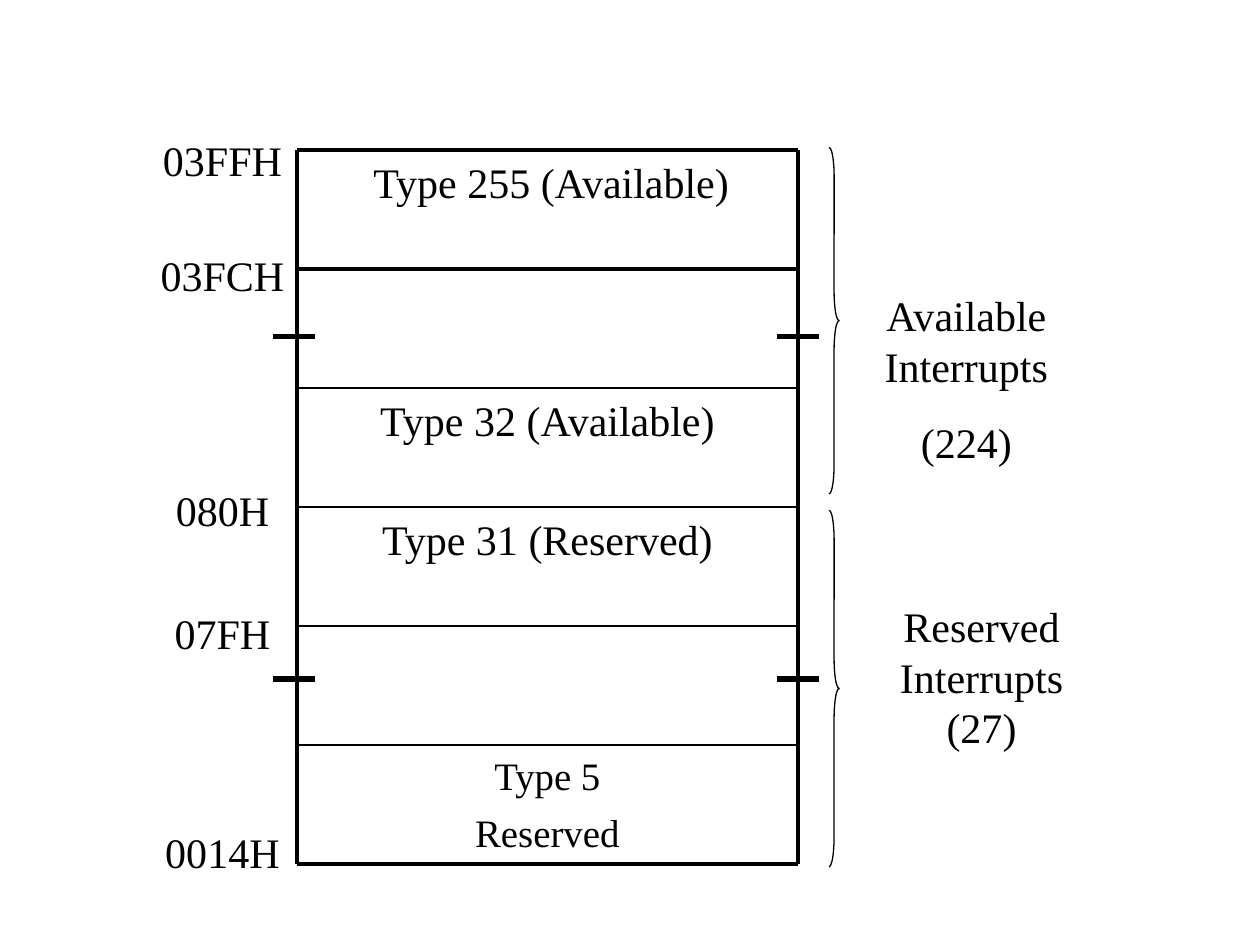
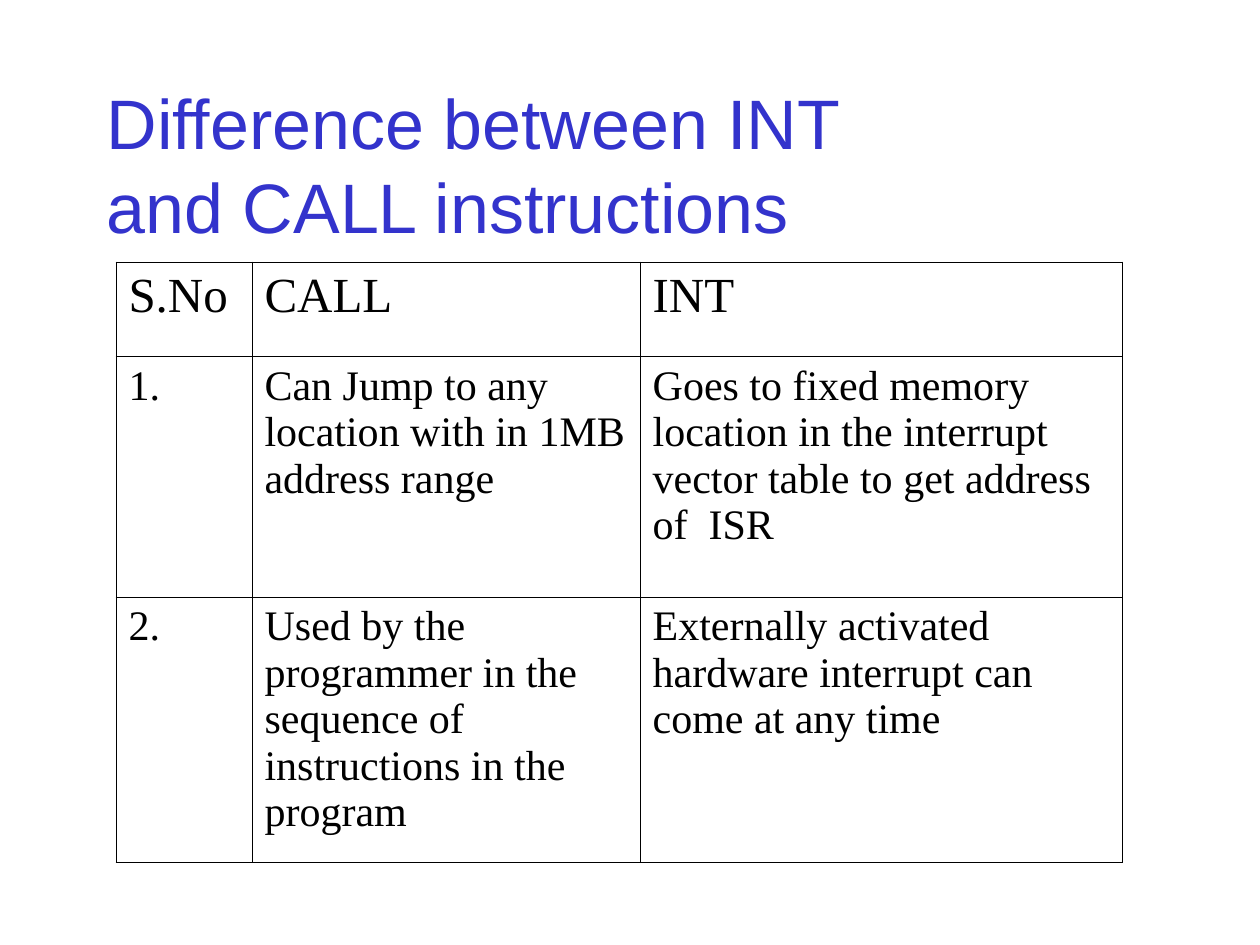
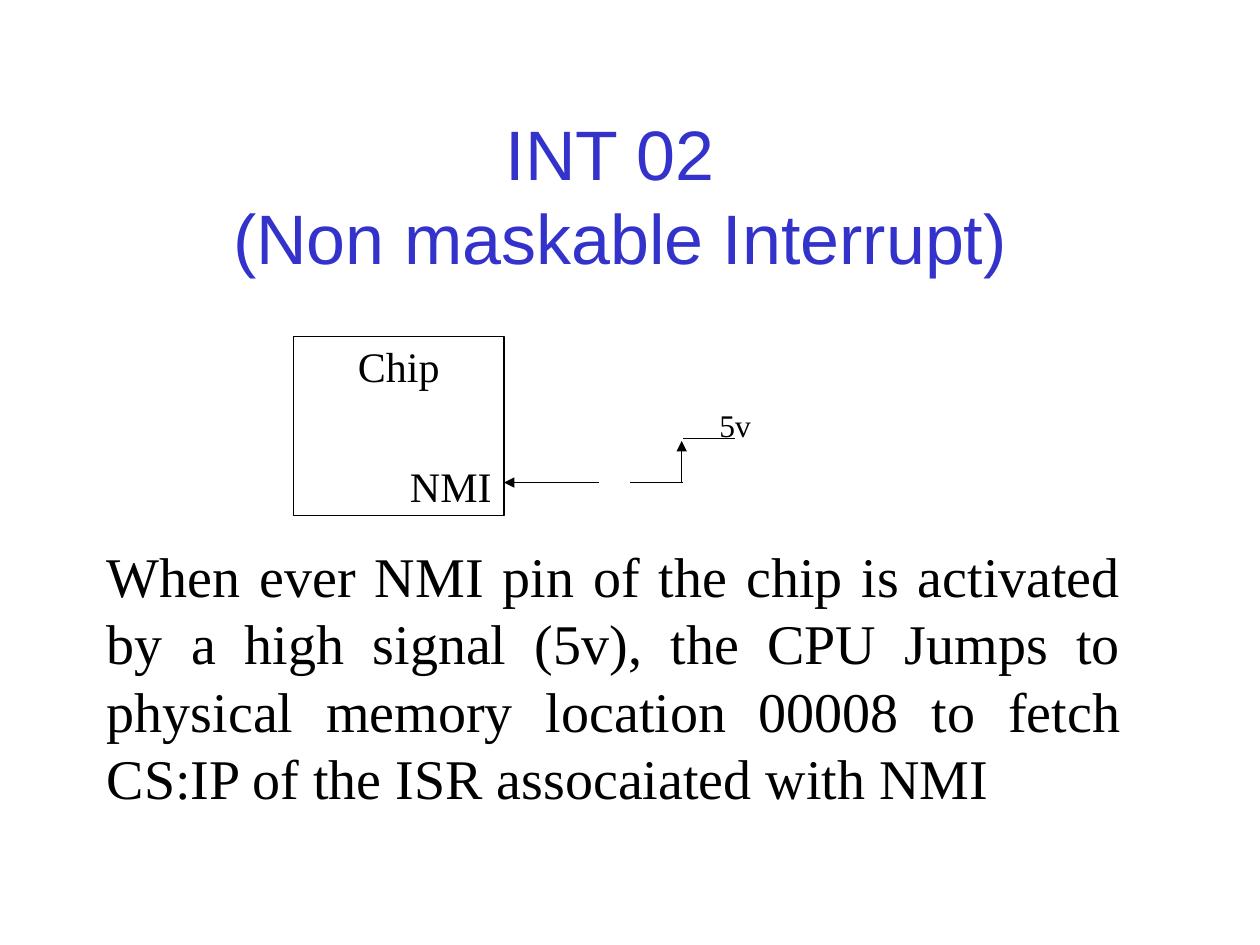
from lxml import etree
from pptx import Presentation
from pptx import util as u
from pptx.dml.color import RGBColor
from pptx.enum import shapes, text
from pptx.oxml import ns

COLORS = {"ink": "000000", "title": "3333CC"}
BODY_FONT, TITLE_FONT = "Times New Roman", "Arial"
LEFT, CENTER = text.PP_ALIGN.LEFT, text.PP_ALIGN.CENTER
RIGHT, JUSTIFY = text.PP_ALIGN.RIGHT, text.PP_ALIGN.JUSTIFY
TOP, MIDDLE = text.MSO_ANCHOR.TOP, text.MSO_ANCHOR.MIDDLE


def color(name):
    return RGBColor.from_string(COLORS[name])


def add_run(paragraph, words, size, font=BODY_FONT, ink="ink"):
    run = paragraph.add_run()
    run.text = words
    run.font.size, run.font.name = u.Pt(size), font
    run.font.color.rgb = color(ink)


def write(frame, paragraphs, size=24, align=CENTER, gap=0, anchor=TOP):
    """Fill a frame with one paragraph per string."""
    frame.word_wrap = True
    frame.vertical_anchor = anchor
    for index, words in enumerate(paragraphs):
        paragraph = frame.add_paragraph() if index else frame.paragraphs[0]
        paragraph.alignment = align
        if index:
            paragraph.space_before = u.Pt(gap)
        add_run(paragraph, words, size)


def add_text(slide, left, top, width, height, paragraphs, **style):
    box = slide.shapes.add_textbox(*map(u.Inches, (left, top, width, height)))
    write(box.text_frame, paragraphs, **style)


def add_title(slide, left, top, lines, align):
    box = slide.shapes.add_textbox(*map(u.Inches, (left, top, 8.5, 1.25)))
    frame = box.text_frame
    frame.word_wrap = True
    frame.vertical_anchor = MIDDLE
    paragraph = frame.paragraphs[0]
    paragraph.alignment = align
    for index, line in enumerate(lines):
        if index:
            paragraph.add_line_break()
        add_run(paragraph, line, 40, TITLE_FONT, "title")


def add_line(slide, x1, y1, x2, y2, weight=0.75, arrow=False):
    line = slide.shapes.add_connector(
        shapes.MSO_CONNECTOR.STRAIGHT, *map(u.Inches, (x1, y1, x2, y2)))
    line.line.color.rgb = color("ink")
    line.line.width = u.Pt(weight)
    if arrow:
        outline = line._element.spPr.find(ns.qn("a:ln"))
        etree.SubElement(outline, ns.qn("a:tailEnd"), type="triangle")
    etree.SubElement(line._element.spPr, ns.qn("a:effectLst"))


def add_outline(slide, kind, left, top, width, height):
    shape = slide.shapes.add_shape(kind, *map(u.Inches, (left, top, width, height)))
    shape.shadow.inherit = False
    shape.fill.background()
    shape.line.color.rgb = color("ink")
    shape.line.width = u.Pt(0.75)
    return shape


def add_brace(slide, top, height):
    brace = add_outline(slide, shapes.MSO_SHAPE.RIGHT_BRACE, 6.58, top, 0.08, height)
    # Long curved ends, as tall as a twelfth of the brace
    brace.adjustments[0] = height / 12 / 0.08


def add_grid_table(slide, left, top, columns, heights, rows):
    table = slide.shapes.add_table(
        len(rows), len(columns), u.Inches(left), u.Inches(top),
        u.Inches(sum(columns)), u.Inches(sum(heights))).table
    table.first_row = table.horz_banding = False
    for column, width in zip(table.columns, columns):
        column.width = u.Inches(width)
    for number, (row, height, values) in enumerate(zip(table.rows, heights, rows)):
        row.height = u.Inches(height)
        for cell, value in zip(row.cells, values):
            write(cell.text_frame, [value], size=24 if number else 28, align=LEFT)
            add_borders(cell)
            cell.fill.background()


def add_borders(cell):
    properties = cell._tc.get_or_add_tcPr()
    for side in ("lnL", "lnR", "lnT", "lnB"):
        border = etree.SubElement(properties, ns.qn(f"a:{side}"), w=str(u.Pt(0.45)))
        fill = etree.SubElement(border, ns.qn("a:solidFill"))
        etree.SubElement(fill, ns.qn("a:srgbClr"), val=COLORS["ink"])


def build_vector_table(slide):
    left, right, first, last = 2.36, 6.33, 1.19, 6.86
    step = (last - first) / 6
    levels = [first + step * index for index in range(7)]

    # Memory cells
    entries = {0: ["Type 255 (Available)"], 2: ["Type 32 (Available)"],
               3: ["Type 31 (Reserved)"]}
    for level, words in entries.items():
        shift = 0.03 if level == 0 else 0
        add_text(slide, left + shift, levels[level], right - left, step, words)
    add_text(slide, left, levels[5], right - left, step, ["Type 5", "Reserved"],
             size=22.2, gap=6)

    # Frame and dividers
    for index, level in enumerate(levels):
        add_line(slide, left, level, right, level, 2.25 if index in (0, 1, 6) else 1)
    for side in (left, right):
        add_line(slide, side, first, side, last, 2.25)

    # Break marks on both sides
    for level in (2.67, 5.39):
        for start in (2.17, 6.17):
            add_line(slide, start, level, start + 0.33, level, 3)

    # Addresses
    addresses = [("03FFH", 1.02), ("03FCH", 1.93), ("080H", 3.8),
                 ("07FH", 4.77), ("0014H", 6.51)]
    for address, top in addresses:
        add_text(slide, 1.17, top, 1.19, 0.5, [address])

    # Groups of interrupts
    add_brace(slide, 1.17, 2.75)
    add_text(slide, 6.92, 2.25, 1.5, 1.51, ["Available Interrupts", "(224)"], gap=15)
    add_brace(slide, 4.05, 2.83)
    add_text(slide, 6.75, 4.72, 2.08, 1.3, ["Reserved Interrupts (27)"])


def build_comparison(slide):
    add_title(slide, 0.75, 0.67, ["Difference between INT ", "and CALL instructions"], LEFT)
    add_grid_table(slide, 0.92, 2.08, [1.08, 3.08, 3.83], [0.75, 1.91, 2.1], [
        ["S.No", "CALL", "INT"],
        ["1.", "Can Jump to any location with in 1MB address range",
         "Goes to fixed memory location in the interrupt vector table "
         "to get address of  ISR"],
        ["2.", "Used by the programmer in the sequence of instructions in the program",
         "Externally activated hardware interrupt can come at any time"],
    ])


def build_nmi(slide):
    add_title(slide, 0.67, 0.92, ["INT 02 ", "(Non maskable Interrupt)"], CENTER)

    # Processor with its NMI pin
    processor = add_outline(slide, shapes.MSO_SHAPE.RECTANGLE, 2.33, 2.67, 1.67, 1.42)
    write(processor.text_frame, ["Chip", "NMI"], gap=40, anchor=MIDDLE)
    processor.text_frame.paragraphs[1].alignment = RIGHT

    # Rising signal
    add_line(slide, 4.75, 3.83, 4, 3.83, arrow=True)
    add_line(slide, 5, 3.83, 5.42, 3.83)
    add_line(slide, 5.42, 3.48, 5.83, 3.48)
    add_line(slide, 5.41, 3.83, 5.41, 3.5, arrow=True)
    add_text(slide, 5.5, 3.17, 0.67, 0.4, ["5v"], size=18)

    # Explanation
    add_text(slide, 0.75, 4.25, 8.25, 2.24, [
        "When ever NMI pin of the chip is activated by a high signal (5v), "
        "the CPU Jumps to physical memory location 00008 to fetch CS:IP "
        "of the ISR assocaiated with NMI"], size=32, align=JUSTIFY)


def main():
    presentation = Presentation()
    presentation.slide_width, presentation.slide_height = u.Inches(10), u.Inches(7.5)
    for build in (build_vector_table, build_comparison, build_nmi):
        build(presentation.slides.add_slide(presentation.slide_layouts[6]))
    presentation.save("out.pptx")


if __name__ == "__main__":
    main()
